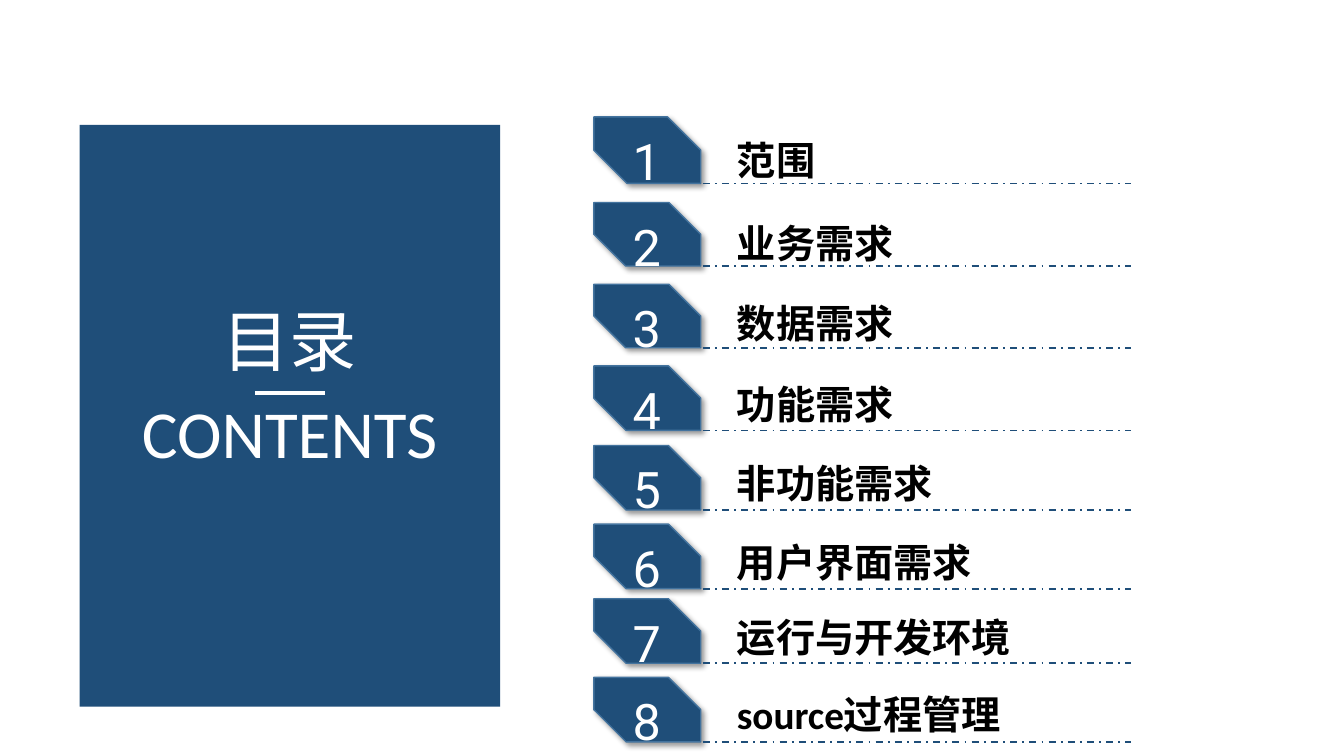
from dataclasses import dataclass

from lxml.etree import SubElement
from pptx import Presentation
from pptx.dml.color import RGBColor
from pptx.enum.dml import MSO_LINE
from pptx.enum.shapes import MSO_CONNECTOR, MSO_SHAPE
from pptx.enum.text import MSO_AUTO_SIZE, PP_ALIGN
from pptx.oxml import parse_xml
from pptx.oxml.ns import nsdecls, qn
from pptx.util import Inches, Pt


@dataclass(frozen=True)
class Theme:
    navy: RGBColor = RGBColor(0x1F, 0x4E, 0x79)
    edge: RGBColor = RGBColor(0x43, 0x73, 0x9E)
    white: RGBColor = RGBColor(0xFF, 0xFF, 0xFF)
    black: RGBColor = RGBColor(0, 0, 0)
    title: Pt = Pt(48)
    number: Pt = Pt(36)
    label: Pt = Pt(28)
    body: str = "Calibri"
    digit: str = "Roboto"


theme = Theme()
SHADOW = (
    f'<a:outerShdw {nsdecls("a")} blurRad="{Pt(4)}" dist="{Pt(3)}" dir="2700000" '
    'algn="tl" rotWithShape="0"><a:srgbClr val="000000"><a:alpha val="40000"/>'
    "</a:srgbClr></a:outerShdw>"
)


def add_text(shapes, text, place, size, color, font=theme.body, wrap=True):
    """Add a one-line text box at place (inches) and return its paragraph and run."""
    frame = shapes.add_textbox(*map(Inches, place)).text_frame
    frame.word_wrap = wrap
    frame.auto_size = MSO_AUTO_SIZE.SHAPE_TO_FIT_TEXT
    para = frame.paragraphs[0]
    para.text = text
    run = para.runs[0]
    run.font.name = font
    run.font.size = size
    run.font.color.rgb = color
    return para, run


def add_rule(shapes, left, right, y, color, width):
    """Add a level line without a shadow."""
    rule = shapes.add_connector(
        MSO_CONNECTOR.STRAIGHT, Inches(left), Inches(y), Inches(right), Inches(y)
    )
    rule.line.color.rgb = color
    rule.line.width = Pt(width)
    SubElement(rule.element.spPr, qn("a:effectLst"))
    return rule


deck = Presentation()
deck.slide_width = Inches(13.33)
deck.slide_height = Inches(7.5)
slide = deck.slides.add_slide(deck.slide_layouts[6])

# Title panel
panel = slide.shapes.add_shape(
    MSO_SHAPE.RECTANGLE, Inches(0.79), Inches(1.24), Inches(4.17), Inches(5.77)
)
panel.shadow.inherit = False
panel.fill.solid()
panel.fill.fore_color.rgb = theme.navy
panel.line.fill.background()
for text, place in (
    ("CONTENTS", (1.31, 3.83, 3.13, 0.91)),
    ("目录", (2.11, 2.92, 1.53, 0.91)),
):
    add_text(slide.shapes, text, place, theme.title, theme.white, wrap=False)
add_rule(slide.shapes, 2.53, 3.22, 3.9, theme.white, 2.75)

# Contents: label, tag top, label top, rule height
items = [
    ("范围", 1.16, 1.07, 1.82),
    ("业务需求", 2.01, 1.89, 2.64),
    ("数据需求", 2.82, 2.69, 3.45),
    ("功能需求", 3.63, 3.49, 4.27),
    ("非功能需求", 4.42, 4.27, 5.06),
    ("用户界面需求", 5.2, 5.06, 5.84),
    ("运行与开发环境", 5.94, 5.8, 6.58),
    ("source过程管理", 6.72, 6.57, 7.36),
]
for number, (label, top, head, base) in enumerate(items, 1):
    row = slide.shapes.add_group_shape().shapes

    tag = row.add_shape(
        MSO_SHAPE.SNIP_2_DIAG_RECTANGLE,
        Inches(5.89), Inches(top), Inches(1.06), Inches(base - top),
    )
    tag.adjustments[0] = 0
    tag.adjustments[1] = 0.5
    tag.fill.solid()
    tag.fill.fore_color.rgb = theme.navy
    tag.line.color.rgb = theme.edge
    tag.line.width = Pt(1)
    tag.shadow.inherit = False
    tag.element.spPr.find(qn("a:effectLst")).append(parse_xml(SHADOW))

    para, run = add_text(
        row, str(number), (6.03, top + 0.08, 0.77, 0.71),
        theme.number, theme.white, theme.digit,
    )
    para.alignment = PP_ALIGN.CENTER

    rule = add_rule(row, 6.97, 11.22, base, theme.navy, 1.25)
    rule.line.dash_style = MSO_LINE.DASH_DOT

    para, run = add_text(
        row, label, (7.21, head, 3.52, 0.81), theme.label, theme.black
    )
    para.line_spacing = 1.5
    run.font.bold = True

deck.save("out.pptx")
